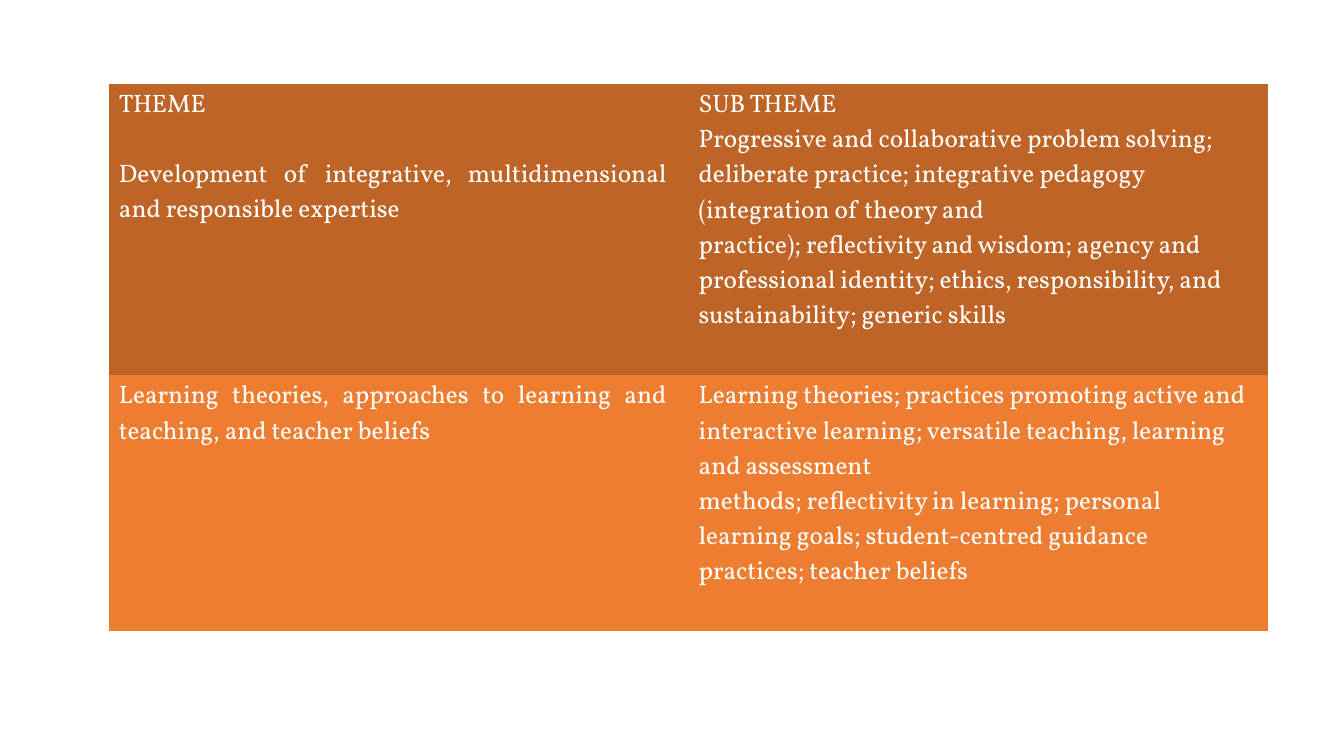
from pptx import Presentation
from pptx.dml.color import RGBColor
from pptx.enum.text import PP_ALIGN
from pptx.util import Inches, Pt

LEFT, JUSTIFY = PP_ALIGN.LEFT, PP_ALIGN.JUSTIFY
BLANK_LAYOUT = 6


def color(hex_value):
    """Turn a hex string into a colour."""
    return RGBColor.from_string(hex_value)


FONT_FORMAT = {"name": "Vollkorn", "size": Pt(18), "bold": False}
COLUMN_WIDTH = 5.75
COLUMN_FORMATS = [
    {"alignment": JUSTIFY, "margin_right": 0.22},
    {"alignment": LEFT, "margin_right": 0.1},
]

theme_rows = [
    {
        "height": 2.89,
        "fill": "BE6427",
        "cells": [
            ["THEME",
             "Development of integrative, multidimensional and responsible expertise"],
            ["SUB THEME",
             "Progressive and collaborative problem solving; deliberate practice; "
             "integrative pedagogy (integration of theory and",
             "practice); reﬂectivity and wisdom; agency and professional identity; "
             "ethics, responsibility, and sustainability; generic skills"],
        ],
    },
    {
        "height": 2.54,
        "fill": "ED7D31",
        "cells": [
            ["Learning theories, approaches to learning and teaching, and teacher beliefs"],
            ["Learning theories; practices promoting active and interactive learning; "
             "versatile teaching, learning and assessment",
             "methods; reﬂectivity in learning; personal learning goals; "
             "student-centred guidance practices; teacher beliefs"],
        ],
    },
]

presentation = Presentation()
presentation.slide_width = Inches(13.33)
presentation.slide_height = Inches(7.5)
slide = presentation.slides.add_slide(presentation.slide_layouts[BLANK_LAYOUT])

table_height = sum(row["height"] for row in theme_rows)
table = slide.shapes.add_table(
    len(theme_rows), len(COLUMN_FORMATS), Inches(1.08), Inches(0.83),
    Inches(COLUMN_WIDTH * len(COLUMN_FORMATS)), Inches(table_height)).table
table.first_row = False
table.horz_banding = False

for row_index, theme_row in enumerate(theme_rows):
    table.rows[row_index].height = Inches(theme_row["height"])
    for column_index, column_format in enumerate(COLUMN_FORMATS):
        cell = table.cell(row_index, column_index)
        cell.fill.solid()
        cell.fill.fore_color.rgb = color(theme_row["fill"])
        cell.margin_right = Inches(column_format["margin_right"])
        cell.text = "\n".join(theme_row["cells"][column_index])
        for paragraph in cell.text_frame.paragraphs:
            paragraph.alignment = column_format["alignment"]
            for name, value in FONT_FORMAT.items():
                setattr(paragraph.runs[0].font, name, value)
            paragraph.runs[0].font.color.rgb = color("FFFFFF")

# One line of space separates the heading from the first theme
table.cell(0, 0).text_frame.paragraphs[1].space_before = Pt(25)

# Borderless style, so that no lines show between the cells
style_id = table._tbl.tblPr.find(
    "{http://schemas.openxmlformats.org/drawingml/2006/main}tableStyleId")
style_id.text = "{2D5ABB26-0587-4C30-8999-92F81FD0307C}"

presentation.save("out.pptx")
